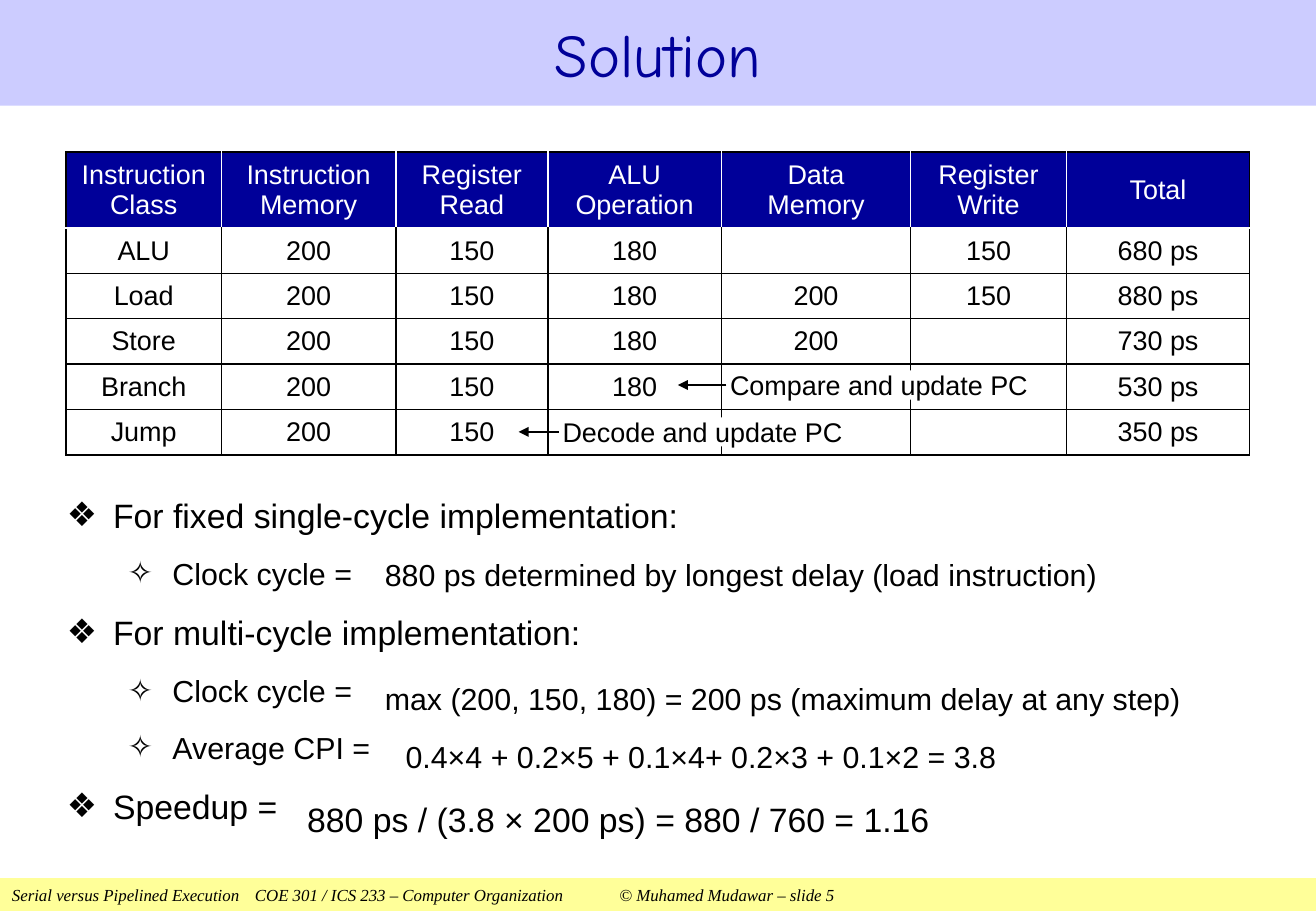
from pptx import Presentation
from pptx.dml.color import RGBColor
from pptx.enum import shapes, text
from pptx.oxml import ns, xmlchemy
from pptx.util import Pt

COLORS = {"navy": "000099", "lavender": "CCCCFF", "yellow": "FFFF99",
          "white": "FFFFFF", "black": "000000"}

COLUMN_WIDTHS = [92, 103.5, 90, 103, 112, 92.5, 108.5]
ROW_HEIGHTS = [45.25] + [26.65] * 5
DELAYS = [
    ["Instruction\nClass", "Instruction\nMemory", "Register\nRead",
     "ALU\nOperation", "Data\nMemory", "Register\nWrite", "Total"],
    ["ALU", "200", "150", "180", "", "150", "680 ps"],
    ["Load", "200", "150", "180", "200", "150", "880 ps"],
    ["Store", "200", "150", "180", "200", "", "730 ps"],
    ["Branch", "200", "150", "180", "", "", "530 ps"],
    ["Jump", "200", "150", "", "", "", "350 ps"],
]

# Outline level and wording
QUESTIONS = [
    (0, "For fixed single-cycle implementation:"),
    (1, "Clock cycle ="),
    (0, "For multi-cycle implementation:"),
    (1, "Clock cycle ="),
    (1, "Average CPI ="),
    (0, "Speedup ="),
]
# Bullet, text size, left margin and hanging indent for each level
LEVELS = [("❖", 20, 27.4, 27.4), ("✧", 18, 62.6, 26.6)]

# Wording, left, top, width, text size
ANSWERS = [
    ("880 ps determined by longest delay (load instruction)", 221, 326.2, 441, 18),
    ("max (200, 150, 180) = 200 ps (maximum delay at any step)", 221, 399.6, 492, 18),
    ("0.4×4 + 0.2×5 + 0.1×4+ 0.2×3 + 0.1×2 = 3.8", 233.3, 434.2, 370, 18),
    ("880 ps / (3.8 × 200 ps) = 880 / 760 = 1.16", 175, 470.9, 432, 20),
]

# Wording, left, top, width, arrow start, arrow end
NOTES = [
    ("Compare and update PC", 432.7, 219.6, 195, 430.6, 401.8),
    ("Decode and update PC", 333.4, 247.4, 193, 331.2, 307.4),
]


def rgb(name):
    return RGBColor.from_string(COLORS[name])


def add_xml(parent, tag, **attributes):
    child = xmlchemy.OxmlElement(tag)
    for key, value in attributes.items():
        child.set(key, str(value))
    parent.append(child)
    return child


def place(box, left, top, width, height):
    box.left, box.top, box.width, box.height = map(Pt, (left, top, width, height))


def set_margins(holder, side, edge):
    holder.margin_left = holder.margin_right = Pt(side)
    holder.margin_top = holder.margin_bottom = Pt(edge)


def format_runs(para, size, color="black", font="Arial", italic=False):
    for span in para.runs:
        span.font.size = Pt(size)
        span.font.name = font
        span.font.italic = italic
        span.font.color.rgb = rgb(color)


def fill_box(box, color):
    box.fill.solid()
    box.fill.fore_color.rgb = rgb(color)


def add_label(parent, wording, frame, fill, size, side=0, **style):
    box = parent.add_shape(shapes.MSO_SHAPE.RECTANGLE, *map(Pt, frame))
    box.shadow.inherit = False
    box.line.fill.background()
    fill_box(box, fill)
    content = box.text_frame
    content.text = wording
    content.word_wrap = True
    content.vertical_anchor = text.MSO_ANCHOR.MIDDLE
    set_margins(content, side, 0)
    content.paragraphs[0].alignment = text.PP_ALIGN.LEFT
    format_runs(content.paragraphs[0], size, **style)


def add_title(page, wording):
    title = page.shapes.title
    place(title, 0, 0, 780, 62.6)
    fill_box(title, "lavender")
    title.text_frame.text = wording
    title.text_frame.vertical_anchor = text.MSO_ANCHOR.MIDDLE
    para = title.text_frame.paragraphs[0]
    para.alignment = text.PP_ALIGN.CENTER
    format_runs(para, 36, "navy", "Comic Neue")


def set_border(cell, side, color):
    line = add_xml(cell._tc.get_or_add_tcPr(), f"a:ln{side}", w=Pt(1))
    fill = add_xml(line, "a:solidFill")
    add_xml(fill, "a:srgbClr", val=COLORS[color])


def format_cell(cell, row, column):
    header = row == 0
    last = len(COLUMN_WIDTHS) - 1
    borders = {
        "L": "white" if header and column > 0 else "black",
        "R": "white" if header and column < last else "black",
        "T": "white" if row == 1 else "black",
        "B": "white" if header else "black",
    }
    for side, color in borders.items():
        set_border(cell, side, color)
    if header:
        fill_box(cell, "navy")
    else:
        cell.fill.background()
    cell.vertical_anchor = text.MSO_ANCHOR.MIDDLE
    set_margins(cell, 0, 2.5)
    for para in cell.text_frame.paragraphs:
        para.alignment = text.PP_ALIGN.CENTER
        format_runs(para, 16, "white" if header else "black")


def add_delay_table(page):
    frame = page.shapes.add_table(len(DELAYS), len(COLUMN_WIDTHS), Pt(39.2), Pt(90),
                                  Pt(sum(COLUMN_WIDTHS)), Pt(sum(ROW_HEIGHTS)))
    table = frame.table
    table.first_row = table.horz_banding = False
    for column, width in zip(table.columns, COLUMN_WIDTHS):
        column.width = Pt(width)
    for row, height in zip(table.rows, ROW_HEIGHTS):
        row.height = Pt(height)
    for row, values in enumerate(DELAYS):
        for column, value in enumerate(values):
            cell = table.cell(row, column)
            cell.text_frame.text = value
            format_cell(cell, row, column)


def add_questions(page):
    body = page.placeholders[1]
    place(body, 39.6, 289.4, 700, 218.2)
    content = body.text_frame
    content.auto_size = text.MSO_AUTO_SIZE.NONE
    content.text = "\n".join(wording for _, wording in QUESTIONS)
    set_margins(content, 0, 3.6)
    for para, (level, _) in zip(content.paragraphs, QUESTIONS):
        bullet, size, margin, hanging = LEVELS[level]
        para.level = level
        para.space_before = Pt(12)
        format_runs(para, size)
        properties = para._p.get_or_add_pPr()
        properties.set("marL", str(Pt(margin)))
        properties.set("indent", str(-Pt(hanging)))
        add_xml(properties, "a:buChar", char=bullet)


def add_answer(page, wording, left, top, width, size):
    box = page.shapes.add_textbox(*map(Pt, (left, top, width, 28.8)))
    content = box.text_frame
    content.text = wording
    content.word_wrap = True
    content.vertical_anchor = text.MSO_ANCHOR.MIDDLE
    format_runs(content.paragraphs[0], size)


def add_note(page, wording, left, top, width, start, end):
    height = 17.3
    middle = top + height / 2
    group = page.shapes.add_group_shape()
    add_label(group.shapes, wording, (left, top, width, height), "white", 16)
    arrow = group.shapes.add_connector(shapes.MSO_CONNECTOR.STRAIGHT,
                                       *map(Pt, (start, middle, end, middle)))
    arrow.line.width = Pt(0.75)
    arrow.line.color.rgb = rgb("black")
    add_xml(arrow.line._get_or_add_ln(), "a:tailEnd", type="triangle")
    add_xml(arrow._element.find(ns.qn("p:spPr")), "a:effectLst")


def main():
    deck = Presentation()
    deck.slide_width, deck.slide_height = Pt(780), Pt(540)
    page = deck.slides.add_slide(deck.slide_layouts[1])

    # Title and footer bands
    add_title(page, "Solution")
    add_label(page.shapes, "Serial versus Pipelined Execution\tCOE 301 / ICS 233 – "
              "Computer Organization\t© Muhamed Mudawar – slide 5",
              (0, 520.6, 780, 19.4), "yellow", 10, side=7.2,
              font="Times New Roman", italic=True)

    # Delay of each instruction class
    add_delay_table(page)
    for note in NOTES:
        add_note(page, *note)

    # Questions with their answers
    add_questions(page)
    for answer in ANSWERS:
        add_answer(page, *answer)

    deck.save("out.pptx")


if __name__ == "__main__":
    main()
